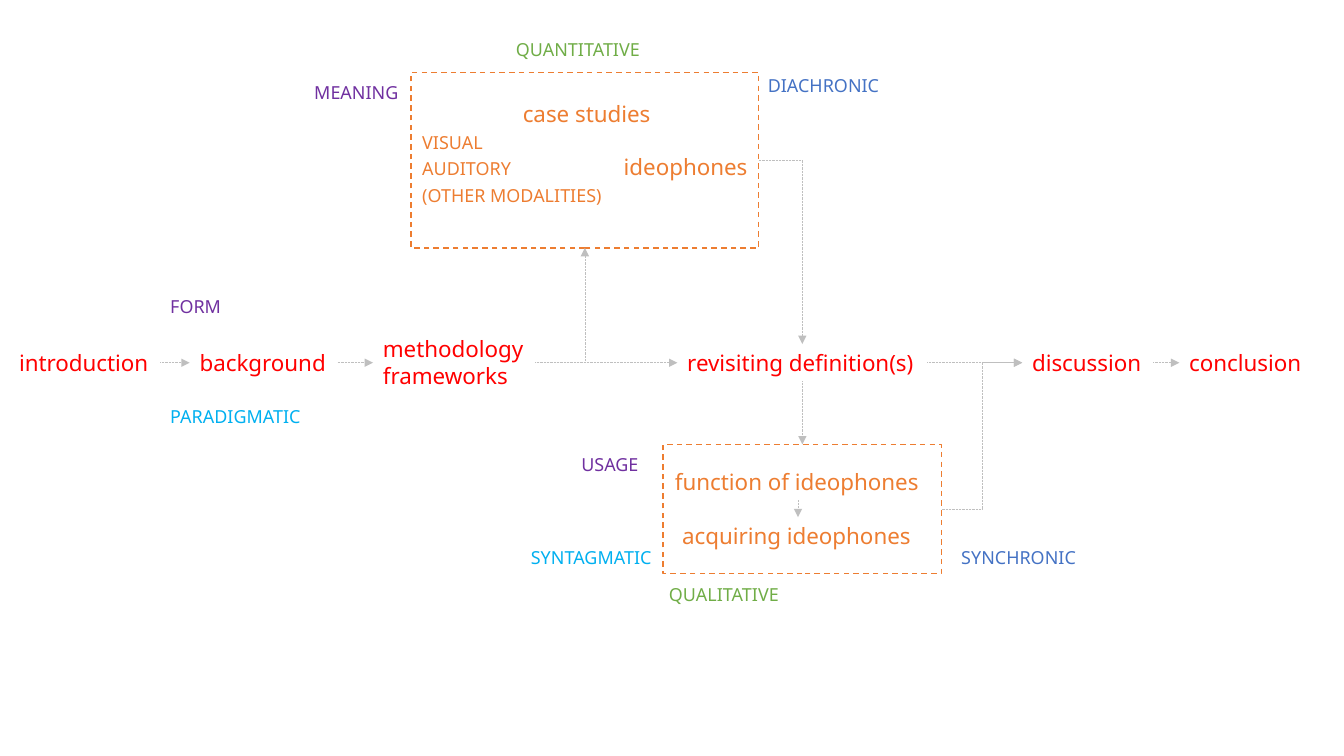
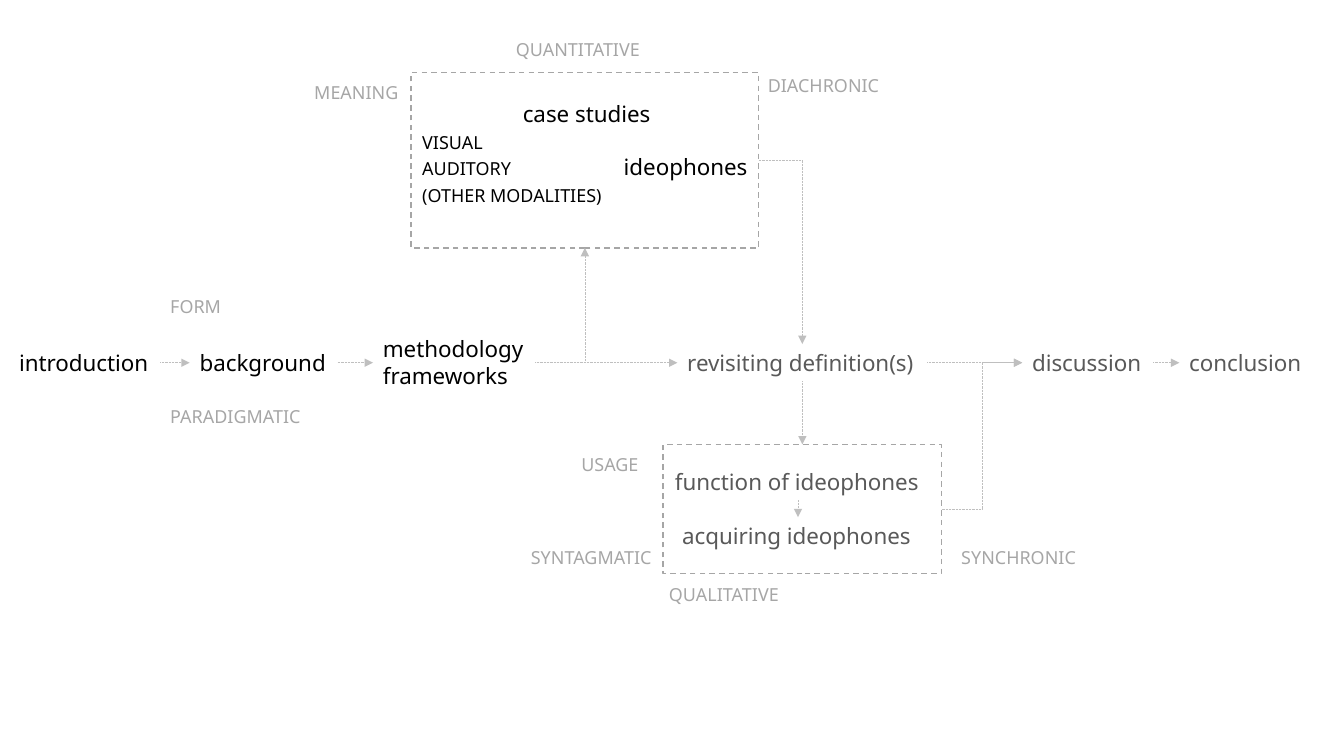
from dataclasses import dataclass

from lxml import etree
from pptx import Presentation
from pptx.dml.color import RGBColor
from pptx.enum import dml, shapes, text
from pptx.oxml import ns
from pptx.util import Cm, Pt


@dataclass(frozen=True)
class Theme:
    font: str = "Noto Sans"
    size: int = 16
    arrow: str = "BFBFBF"
    line_height: float = 0.94
    row_middle: float = 9.14
    tab: float = 5.08


theme = Theme()

# One palette per slide: the coloured outline, then the progress view
palettes = [
    dict(opening="FF0000", closing="FF0000", cases="ED7D31", usage="ED7D31",
         frame="ED7D31", method="70AD47", time="4472C4", aspect="7030A0",
         axis="00B0F0"),
    dict(opening="000000", closing="595959", cases="000000", usage="595959",
         frame="A6A6A6", method="A6A6A6", time="A6A6A6", aspect="A6A6A6",
         axis="A6A6A6"),
]

# Chapters on the main row: text, left, width, role
chapters = [
    ("introduction", 0.23, 3.81, "opening"),
    ("background", 4.78, 3.73, "opening"),
    ("methodology\nframeworks", 9.4, 4.09, "opening"),
    ("revisiting definition(s)", 17.07, 6.3, "closing"),
    ("discussion", 25.76, 3.3, "closing"),
    ("conclusion", 29.72, 3.35, "closing"),
]

# Chapters inside the usage frame: text, left, top, width
usage_chapters = [
    ("function of ideophones", 16.76, 11.66, 6.7),
    ("acquiring ideophones", 16.94, 13.03, 6.34),
]

# Small-caps labels: text, left, top, width, role
labels = [
    ("quantitative", 12.75, 0.74, 3.73, "method"),
    ("qualitative", 16.61, 14.48, 3.38, "method"),
    ("diachronic", 19.1, 1.65, 3.43, "time"),
    ("synchronic", 23.7, 13.54, 3.94, "time"),
    ("meaning", 7.67, 1.83, 2.67, "aspect"),
    ("usage", 14.4, 11.2, 1.98, "aspect"),
    ("form", 4.04, 7.21, 1.8, "aspect"),
    ("paradigmatic", 4.04, 9.98, 3.89, "axis"),
    ("syntagmatic", 13.13, 13.54, 3.66, "axis"),
]

# Dashed frames: left, top, width, height
frames = {
    "case frame": (10.36, 1.83, 8.76, 4.42),
    "usage frame": (16.71, 11.2, 7.02, 3.25),
}

# Case studies: each line is a list of (text, small caps)
case_lines = [
    [("case studies", False)],
    [("visual", True)],
    [("auditory", True), ("\tideophones", False)],
    [("(other modalities)", True)],
]

# Arrows: start, side, end, side, preset geometry
TOP, LEFT, BOTTOM, RIGHT = range(4)
arrows = [
    ("introduction", RIGHT, "background", LEFT, "line"),
    ("background", RIGHT, "methodology\nframeworks", LEFT, "line"),
    ("methodology\nframeworks", RIGHT, "revisiting definition(s)", LEFT, "line"),
    ("methodology\nframeworks", RIGHT, "case frame", BOTTOM, "bentConnector2"),
    ("case frame", RIGHT, "revisiting definition(s)", TOP, "bentConnector2"),
    ("revisiting definition(s)", BOTTOM, "usage frame", TOP, "line"),
    ("function of ideophones", BOTTOM, "acquiring ideophones", TOP, "line"),
    ("usage frame", RIGHT, "discussion", LEFT, "bentConnector3"),
    ("revisiting definition(s)", RIGHT, "discussion", LEFT, "line"),
    ("discussion", RIGHT, "conclusion", LEFT, "line"),
]


def add_text(slide, lines, left, top, width, height=theme.line_height, *,
             color, wrap=False, first_align=None, tab=None):
    shape = slide.shapes.add_textbox(Cm(left), Cm(top), Cm(width), Cm(height))
    frame = shape.text_frame
    frame.word_wrap = wrap
    frame.auto_size = text.MSO_AUTO_SIZE.SHAPE_TO_FIT_TEXT
    for index, runs in enumerate(lines):
        paragraph = frame.paragraphs[0] if index == 0 else frame.add_paragraph()
        if index == 0 and first_align is not None:
            paragraph.alignment = first_align
        if tab:
            properties = paragraph._p.get_or_add_pPr()
            stops = etree.SubElement(properties, ns.qn("a:tabLst"))
            etree.SubElement(stops, ns.qn("a:tab"), pos=str(Cm(tab)), algn="l")
        for content, small_caps in runs:
            run = paragraph.add_run()
            run.text = content
            run.font.name = theme.font
            run.font.size = Pt(theme.size)
            run.font.color.rgb = RGBColor.from_string(color)
            if small_caps:
                run.font._element.set("cap", "small")
    return shape


def set_line(line, color, width, dash):
    line.color.rgb = RGBColor.from_string(color)
    line.width = Pt(width)
    line.dash_style = dash


presentation = Presentation()
presentation.slide_width, presentation.slide_height = Cm(33.87), Cm(19.05)
blank_layout = presentation.slide_layouts[6]

for palette in palettes:
    slide = presentation.slides.add_slide(blank_layout)
    nodes = {}

    # Frames
    for name, place in frames.items():
        shape = slide.shapes.add_shape(shapes.MSO_SHAPE.RECTANGLE, *map(Cm, place))
        shape.shadow.inherit = False
        shape.fill.background()
        set_line(shape.line, palette["frame"], 1, dml.MSO_LINE.DASH)
        nodes[name] = shape

    # Chapters, centred on the main row
    for name, left, width, role in chapters:
        lines = [[(line, False)] for line in name.split("\n")]
        height = theme.line_height if len(lines) == 1 else 1.62
        nodes[name] = add_text(slide, lines, left, theme.row_middle - height / 2,
                               width, height, color=palette[role])
    for name, left, top, width in usage_chapters:
        nodes[name] = add_text(slide, [[(name, False)]], left, top, width,
                               color=palette["usage"])

    # Case studies
    add_text(slide, case_lines, 10.39, 2.39, 8.79, 3, color=palette["cases"],
             first_align=text.PP_ALIGN.CENTER, tab=theme.tab)

    # Labels
    for name, left, top, width, role in labels:
        add_text(slide, [[(name, True)]], left, top, width, color=palette[role],
                 wrap=role == "time",
                 first_align=text.PP_ALIGN.CENTER if name == "synchronic" else None)

    # Arrows, attached to the shapes they join
    for start, start_side, end, end_side, geometry in arrows:
        kind = (shapes.MSO_CONNECTOR.STRAIGHT if geometry == "line"
                else shapes.MSO_CONNECTOR.ELBOW)
        connector = slide.shapes.add_connector(kind, 0, 0, 0, 0)
        connector.begin_connect(nodes[start], start_side)
        connector.end_connect(nodes[end], end_side)
        set_line(connector.line, theme.arrow, 0.5, dml.MSO_LINE.ROUND_DOT)
        properties = connector._element.spPr
        properties.find(ns.qn("a:prstGeom")).set("prst", geometry)
        outline = properties.find(ns.qn("a:ln"))
        etree.SubElement(outline, ns.qn("a:tailEnd"), type="triangle")
        etree.SubElement(properties, ns.qn("a:effectLst"))

presentation.save("out.pptx")
